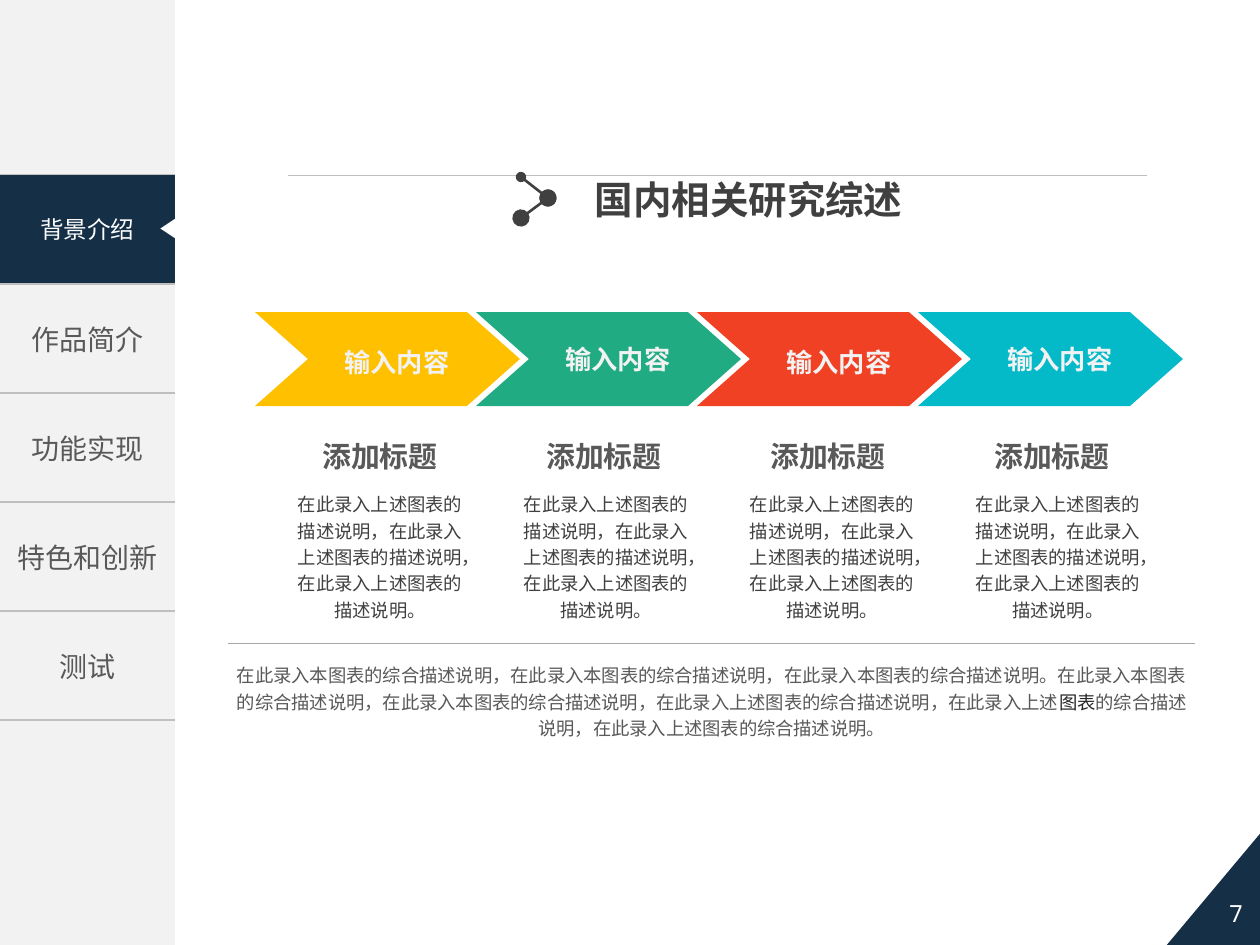
from lxml.etree import SubElement
from pptx import Presentation
from pptx.dml.color import RGBColor
from pptx.enum.shapes import MSO_CONNECTOR, MSO_SHAPE
from pptx.enum.text import MSO_ANCHOR as Anchor, MSO_AUTO_SIZE as AutoSize, PP_ALIGN as Align
from pptx.oxml.ns import qn
from pptx.util import Pt

PX = 914400 / 126
SANS, MONO, LATIN = "Noto Sans CJK SC", "Noto Sans Mono", "Arial"
NAVY, WHITE, PALE, SILVER = "152F47", "FFFFFF", "F2F2F2", "BFBFBF"
GREY, DARK, BLACK = "595959", "404040", "262626"
NO_STYLE = "{2D5ABB26-0587-4C30-8999-92F81FD0307C}"

TITLE = "国内相关研究综述"
ACTIVE_SECTION = "背景介绍"
OTHER_SECTIONS = ["作品简介", "功能实现", "特色和创新", "测试"]
STAGES = [  # label, colour, label line spacing
    ("输入内容", "FFC000", 1.2),
    ("输入内容", "21AB82", 1.0),
    ("输入内容", "F14124", 1.2),
    ("输入内容", "05BAC8", 1.0),
]
STAGE_HEADING = "添加标题"
STAGE_BODY = "在此录入上述图表的描述说明，在此录入上述图表的描述说明，在此录入上述图表的描述说明。"
SUMMARY = [
    ("在此录入本图表的综合描述说明，在此录入本图表的综合描述说明，在此录入本图表的综合描述说明。"
     "在此录入本图表的综合描述说明，在此录入本图表的综合描述说明，在此录入上述图表的综合描述说明，"
     "在此录入上述", GREY),
    ("图表", BLACK),
    ("的综合描述说明，在此录入上述图表的综合描述说明。", GREY),
]
PAGE_NUMBER = "7"

SIDEBAR_WIDTH, SIDEBAR_TOP, ROW_HEIGHT = 175, 175, 109
CHEVRON_LEFT, CHEVRON_STEP, CHEVRON_TOP = 255, 221, 312
CHEVRON_WIDTH, CHEVRON_HEIGHT, CHEVRON_NOTCH = 265, 94, 53


def px(*lengths):
    return [round(length * PX) for length in lengths]


def rgb(color):
    return RGBColor.from_string(color)


def write(frame, text, size, color, font=SANS, bold=False, align=Align.CENTER,
          spacing=None, anchor=Anchor.TOP):
    """Fill a text frame with one paragraph; text is a string or (text, colour) runs."""
    frame.vertical_anchor = anchor
    frame.margin_left, frame.margin_right, frame.margin_top, frame.margin_bottom = px(9, 9, 5, 5)
    paragraph = frame.paragraphs[0]
    paragraph.alignment = align
    if spacing:
        paragraph.line_spacing = spacing
    for part, part_color in [(text, color)] if isinstance(text, str) else text:
        run = paragraph.add_run()
        run.text = part
        run.font.size, run.font.bold, run.font.name = Pt(size), bold, font
        run.font.color.rgb = rgb(part_color)
        east_asian = SubElement(run.font._element, qn("a:ea"))
        east_asian.set("typeface", SANS)


def add_text(slide, box, text, size, color, wrap=True, **style):
    frame = slide.shapes.add_textbox(*px(*box)).text_frame
    write(frame, text, size, color, **style)
    frame.word_wrap = wrap
    frame.auto_size = AutoSize.SHAPE_TO_FIT_TEXT


def paint(shape, color):
    shape.shadow.inherit = False
    shape.fill.solid()
    shape.fill.fore_color.rgb = rgb(color)
    shape.line.fill.background()
    return shape


def add_block(slide, kind, box, color):
    return paint(slide.shapes.add_shape(kind, *px(*box)), color)


def add_line(slide, start, end, color, width, dots=()):
    """Draw a line; dots gives the sizes of the round ends at start and end."""
    line = slide.shapes.add_connector(MSO_CONNECTOR.STRAIGHT, *px(*start, *end))
    line.line.color.rgb = rgb(color)
    line.line.width = Pt(width)
    for tag, size in zip(("a:headEnd", "a:tailEnd"), dots):
        line_end = SubElement(line.line._get_or_add_ln(), qn(tag))
        for key, value in (("type", "oval"), ("w", size), ("len", size)):
            line_end.set(key, value)
    SubElement(line._element.spPr, qn("a:effectLst"))


def add_cell_border(cell, tag):
    border = SubElement(cell._tc.get_or_add_tcPr(), qn(tag))
    border.set("w", str(Pt(1)))
    fill = SubElement(border, qn("a:solidFill"))
    SubElement(fill, qn("a:srgbClr")).set("val", SILVER)


def add_sidebar(slide):
    add_block(slide, MSO_SHAPE.RECTANGLE, (0, 0, SIDEBAR_WIDTH, 945), PALE)
    labels = [""] + OTHER_SECTIONS
    box = px(0, SIDEBAR_TOP, SIDEBAR_WIDTH, ROW_HEIGHT * len(labels))
    table = slide.shapes.add_table(len(labels), 1, *box).table
    table.first_row = table.horz_banding = False
    table._tbl.tblPr.find(qn("a:tableStyleId")).text = NO_STYLE
    for row, label in enumerate(labels):
        cell = table.cell(row, 0)
        for tag in ("a:lnT", "a:lnB"):
            add_cell_border(cell, tag)
        cell.fill.background()
        cell.vertical_anchor = Anchor.MIDDLE
        if label:
            write(cell.text_frame, label, 16, GREY)
            cell.vertical_anchor = Anchor.MIDDLE
            cell.margin_left, cell.margin_right = px(9, 9)

    active = add_block(slide, MSO_SHAPE.RECTANGLE,
                       (0, SIDEBAR_TOP, SIDEBAR_WIDTH, ROW_HEIGHT - 1), NAVY)
    write(active.text_frame, ACTIVE_SECTION, 13.5, WHITE, anchor=Anchor.MIDDLE)
    add_block(slide, MSO_SHAPE.ISOSCELES_TRIANGLE, (158, 221, 20, 15), WHITE).rotation = 270


def add_header(slide):
    add_line(slide, (288, 175), (1147, 175), SILVER, 0.5)
    add_text(slide, (586, 171, 330, 57), TITLE, 22, DARK, wrap=False, font=LATIN,
             bold=True, align=Align.LEFT)
    top, middle, bottom = (521, 177), (548, 198), (521, 218)
    add_line(slide, top, middle, DARK, 1.5, dots=("med", "lg"))
    add_line(slide, middle, bottom, DARK, 1.5, dots=("lg", "lg"))


def add_chevron(slide, left, color):
    right, bottom = left + CHEVRON_WIDTH, CHEVRON_TOP + CHEVRON_HEIGHT
    shoulder, middle = right - CHEVRON_NOTCH, CHEVRON_TOP + CHEVRON_HEIGHT / 2
    builder = slide.shapes.build_freeform(left, CHEVRON_TOP, scale=PX)
    builder.add_line_segments([(shoulder, CHEVRON_TOP), (right, middle), (shoulder, bottom),
                               (left, bottom), (left + CHEVRON_NOTCH, middle)])
    paint(builder.convert_to_shape(), color)


def add_stages(slide):
    for index, (label, color, spacing) in enumerate(STAGES):
        left = CHEVRON_LEFT + CHEVRON_STEP * index
        add_chevron(slide, left, color)
        add_text(slide, (left + 30, 335, 224, 48), label, 15, PALE, font=LATIN, bold=True,
                 spacing=spacing, anchor=Anchor.MIDDLE)
        add_text(slide, (312 + 224 * index, 434, 136, 44), STAGE_HEADING, 16.5, GREY,
                 wrap=False, bold=True)
        add_text(slide, (282 + 226 * index, 484, 196, 143), STAGE_BODY, 10.5, DARK, spacing=1.2)


def add_footer(slide):
    add_line(slide, (228, 643), (1195, 643), "A6A6A6", 0.5)
    add_text(slide, (227, 655, 970, 89), SUMMARY, 10.5, GREY, spacing=1.2)
    corner = add_block(slide, MSO_SHAPE.RIGHT_TRIANGLE, (1166, 829, 98, 117), NAVY)
    corner._element.spPr.xfrm.set("flipH", "1")
    add_text(slide, (1211, 890, 50, 46), PAGE_NUMBER, 13.5, WHITE, font=MONO,
             anchor=Anchor.MIDDLE)


def main():
    presentation = Presentation()
    presentation.slide_width, presentation.slide_height = px(1260, 945)
    slide = presentation.slides.add_slide(presentation.slide_layouts[6])
    add_sidebar(slide)
    add_header(slide)
    add_stages(slide)
    add_footer(slide)
    presentation.save("out.pptx")


if __name__ == "__main__":
    main()
